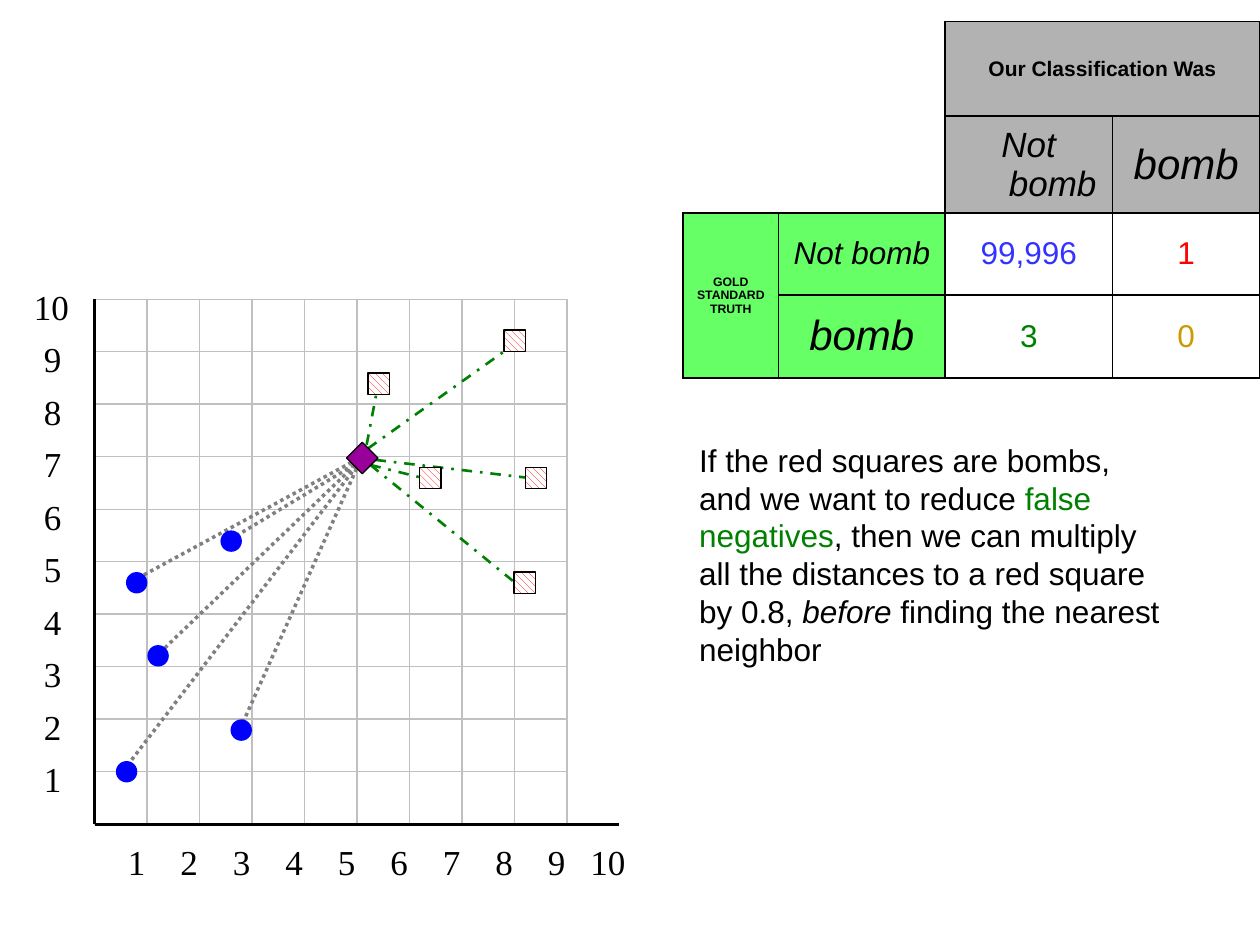
from lxml import etree
from pptx import Presentation
from pptx import util as u
from pptx.dml.color import RGBColor
from pptx.enum import dml, shapes, text
from pptx.oxml.ns import qn

BLACK = RGBColor(0, 0, 0)
WHITE = RGBColor(255, 255, 255)
SILVER = RGBColor(0xC0, 0xC0, 0xC0)
GRAY = RGBColor(0x80, 0x80, 0x80)
HEAD = RGBColor(0xB2, 0xB2, 0xB2)
LIME = RGBColor(0x66, 0xFF, 0x66)
GREEN = RGBColor(0, 0x80, 0)
RED = RGBColor(255, 0, 0)
BLUE = RGBColor(0, 0, 255)
INDIGO = RGBColor(0x33, 0x33, 255)
PURPLE = RGBColor(0x99, 0, 0x99)
GOLD = RGBColor(0xCC, 0x99, 0)

STEP = 5 / 12
LEFT, TOP = 0.75, 2.375
BASE = TOP + 10 * STEP
MARK = 0.17
KIND = shapes.MSO_SHAPE

SQUARES = [(2.92, 2.96), (3.33, 3.71), (4, 2.62), (4.17, 3.71), (4.08, 4.54)]
DOTS = [(1.17, 5.12), (1.83, 5.71), (0.92, 6.04), (1, 4.54), (1.75, 4.21)]
BOMB_TIES = [(2.91, 3.53, 2.99, 3.11), (2.92, 3.56, 4, 2.79),
             (2.98, 3.65, 4.17, 3.79), (2.94, 3.69, 3.34, 3.79),
             (2.94, 3.69, 4.07, 4.61)]
SAFE_TIES = [(2.81, 3.69, 1.88, 4.25), (2.79, 3.67, 1.11, 4.58),
             (2.82, 3.69, 1.29, 5.16), (2.83, 3.7, 1.03, 6.05),
             (2.83, 3.72, 1.93, 5.73)]


def add_mark(slide, kind, x, y, size, fill=None, line=None, width=0.75):
    shape = slide.shapes.add_shape(kind, *map(u.Inches, (x, y, size, size)))
    shape.shadow.inherit = False
    if fill is None:
        shape.fill.background()
    else:
        shape.fill.solid()
        shape.fill.fore_color.rgb = fill
    if line is None:
        shape.line.fill.background()
    else:
        shape.line.color.rgb = line
        shape.line.width = u.Pt(width)
    return shape


def add_square(slide, x, y):
    """Red-hatched square."""
    fill = add_mark(slide, KIND.RECTANGLE, x, y, MARK, line=BLACK).fill
    fill.patterned()
    fill.pattern = dml.MSO_PATTERN.WIDE_DOWNWARD_DIAGONAL
    fill.fore_color.rgb = RED
    fill.back_color.rgb = WHITE


def add_line(slide, ends, color, width, dash=None):
    line = slide.shapes.add_connector(
        shapes.MSO_CONNECTOR.STRAIGHT, *map(u.Inches, ends))
    line.line.color.rgb = color
    line.line.width = u.Pt(width)
    if dash:
        line.line.dash_style = dash
    etree.SubElement(line._element.spPr, qn("a:effectLst"))


def set_font(font, name, size, color, bold=False, italic=False):
    font.name, font.size = name, u.Pt(size)
    font.color.rgb = color
    font.bold, font.italic = bold, italic


def add_label(slide, num, x, y):
    wide = 0.48 if num > 9 else 0.34
    box = slide.shapes.add_textbox(*map(u.Inches, (x, y, wide, 0.43)))
    box.text_frame.word_wrap = False
    para = box.text_frame.paragraphs[0]
    para.text = str(num)
    set_font(para.font, "Times New Roman", 20, BLACK)


def add_plot(slide):
    for row in range(10):
        for col in range(9):
            add_mark(slide, KIND.RECTANGLE, LEFT + col * STEP,
                     TOP + row * STEP, STEP, line=SILVER, width=0)
    add_line(slide, (LEFT, BASE, LEFT + 10 * STEP, BASE), BLACK, 1.75)
    add_line(slide, (LEFT, BASE, LEFT, TOP), BLACK, 1.75)
    for num in range(1, 11):
        shift = 0.08 if num > 9 else 0
        add_label(slide, num, 0.5 + num * STEP - shift, 6.62)
        add_label(slide, num, 0.25 - shift, 6.38 - num * STEP)
    for ends in BOMB_TIES:
        add_line(slide, ends, GREEN, 1.5, dml.MSO_LINE.DASH_DOT)
    for ends in SAFE_TIES:
        add_line(slide, ends, GRAY, 2, dml.MSO_LINE.ROUND_DOT)
    add_mark(slide, KIND.DIAMOND, 2.75, 3.51, 0.25, PURPLE, BLACK)
    for x, y in SQUARES:
        add_square(slide, x, y)
    for x, y in DOTS:
        add_mark(slide, KIND.OVAL, x, y, MARK, BLUE)


def set_edges(cell, sides):
    """Draw a black border on the given sides and none on the others."""
    props = cell._tc.get_or_add_tcPr()
    for side in "LRTB":
        edge = etree.SubElement(props, qn("a:ln" + side), w=str(u.Pt(1)))
        if side in sides:
            fill = etree.SubElement(edge, qn("a:solidFill"))
            etree.SubElement(fill, qn("a:srgbClr"), val=str(BLACK))
        else:
            etree.SubElement(edge, qn("a:noFill"))


def fill_cell(cell, words, size, color=BLACK, bold=False, italic=False):
    cell.vertical_anchor = text.MSO_ANCHOR.MIDDLE
    cell.text = words
    for para in cell.text_frame.paragraphs:
        para.alignment = text.PP_ALIGN.CENTER
        props = para._p.get_or_add_pPr()
        props.set("marL", str(u.Inches(0.38)))
        props.set("indent", str(u.Inches(-0.38)))
        set_font(para.font, "Arial", size, color, bold, italic)


def add_matrix(slide):
    """Confusion matrix with a blank corner."""
    grid = slide.shapes.add_table(
        4, 4, *map(u.Inches, (5.42, 0.17, 4.58, 2.83))).table
    grid.first_row = grid.horz_banding = False
    for col, wide in zip(grid.columns, (0.76, 1.32, 1.33, 1.17)):
        col.width = u.Inches(wide)
    for row, tall in zip(grid.rows, (0.75, 0.77, 0.65, 0.66)):
        row.height = u.Inches(tall)
    for r in range(4):
        for c in range(4):
            cell = grid.cell(r, c)
            set_edges(cell, "RB" if r < 2 and c < 2 else "LRTB")
            if (r < 2) == (c < 2):
                cell.fill.background()
            else:
                cell.fill.solid()
                cell.fill.fore_color.rgb = HEAD if r < 2 else LIME
    for start, end in (((0, 0), (1, 1)), ((0, 2), (0, 3)), ((2, 0), (3, 0))):
        grid.cell(*start).merge(grid.cell(*end))
    fill_cell(grid.cell(0, 2), "Our Classification Was", 12, bold=True)
    fill_cell(grid.cell(2, 0), "GOLD\nSTANDARD\nTRUTH", 7, bold=True)
    for r, c, words, size in ((1, 2, "Not bomb", 20), (1, 3, "bomb", 24),
                              (2, 1, "Not bomb", 18), (3, 1, "bomb", 24)):
        fill_cell(grid.cell(r, c), words, size, italic=True)
    for r, c, words, color in ((2, 2, "99,996", INDIGO), (2, 3, "1", RED),
                               (3, 2, "3", GREEN), (3, 3, "0", GOLD)):
        fill_cell(grid.cell(r, c), words, 18, color)


def add_note(slide):
    box = slide.shapes.add_textbox(*map(u.Inches, (5.45, 3.45, 3.93, 1.9)))
    box.text_frame.word_wrap = True
    para = box.text_frame.paragraphs[0]
    set_font(para.font, "Arial", 18, BLACK)
    for words, color, italic in (
            ("If the red squares are bombs, and we want to reduce ", BLACK, False),
            ("false negatives", GREEN, False),
            (", then we can multiply all the distances to a red square by 0.8, ",
             BLACK, False),
            ("before", BLACK, True),
            (" finding the nearest neighbor", BLACK, False)):
        run = para.add_run()
        run.text = words
        run.font.color.rgb = color
        run.font.italic = italic


def main():
    deck = Presentation()
    deck.slide_width, deck.slide_height = u.Inches(10), u.Inches(7.5)
    slide = deck.slides.add_slide(deck.slide_layouts[6])
    add_plot(slide)
    add_matrix(slide)
    add_note(slide)
    deck.save("out.pptx")


if __name__ == "__main__":
    main()
